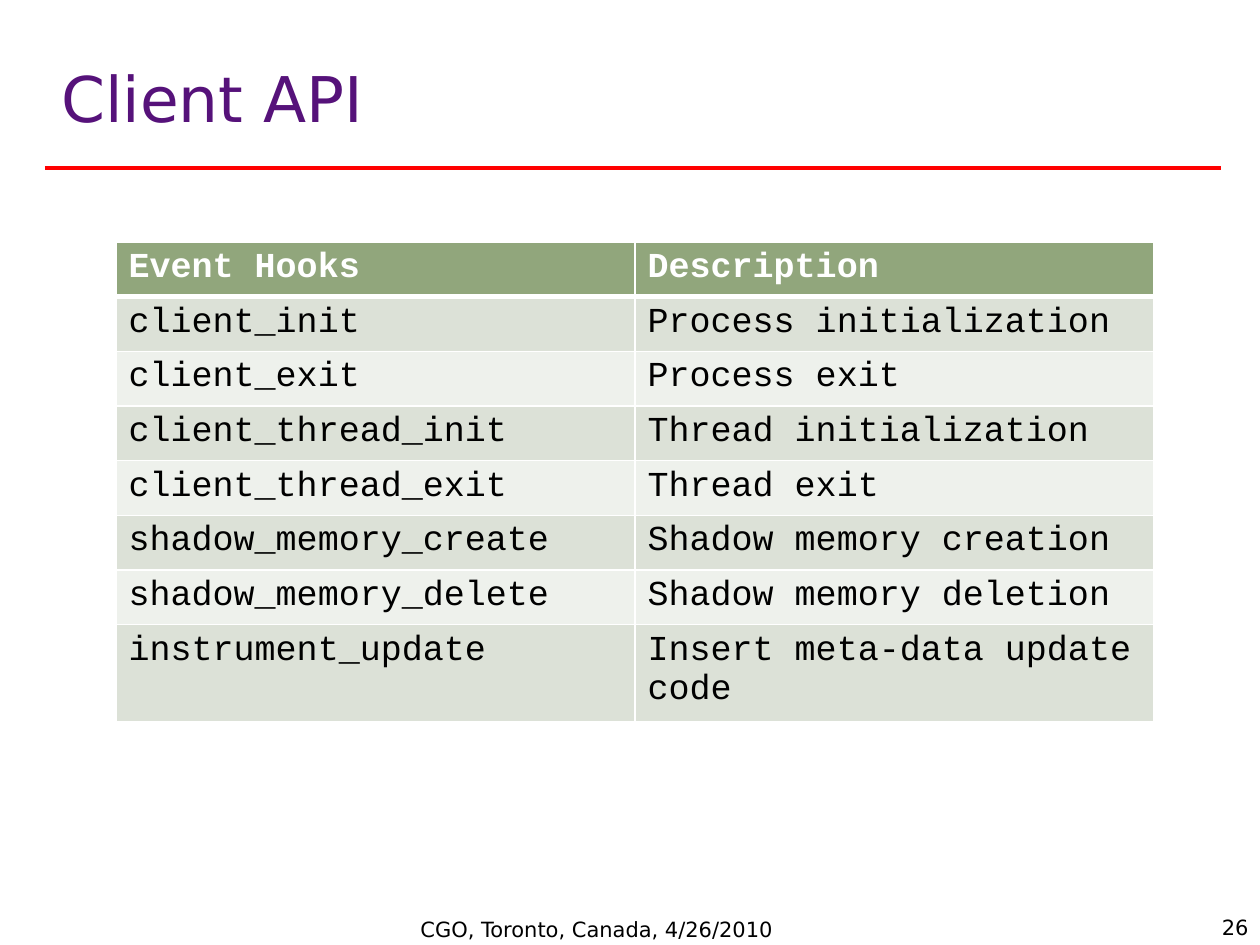
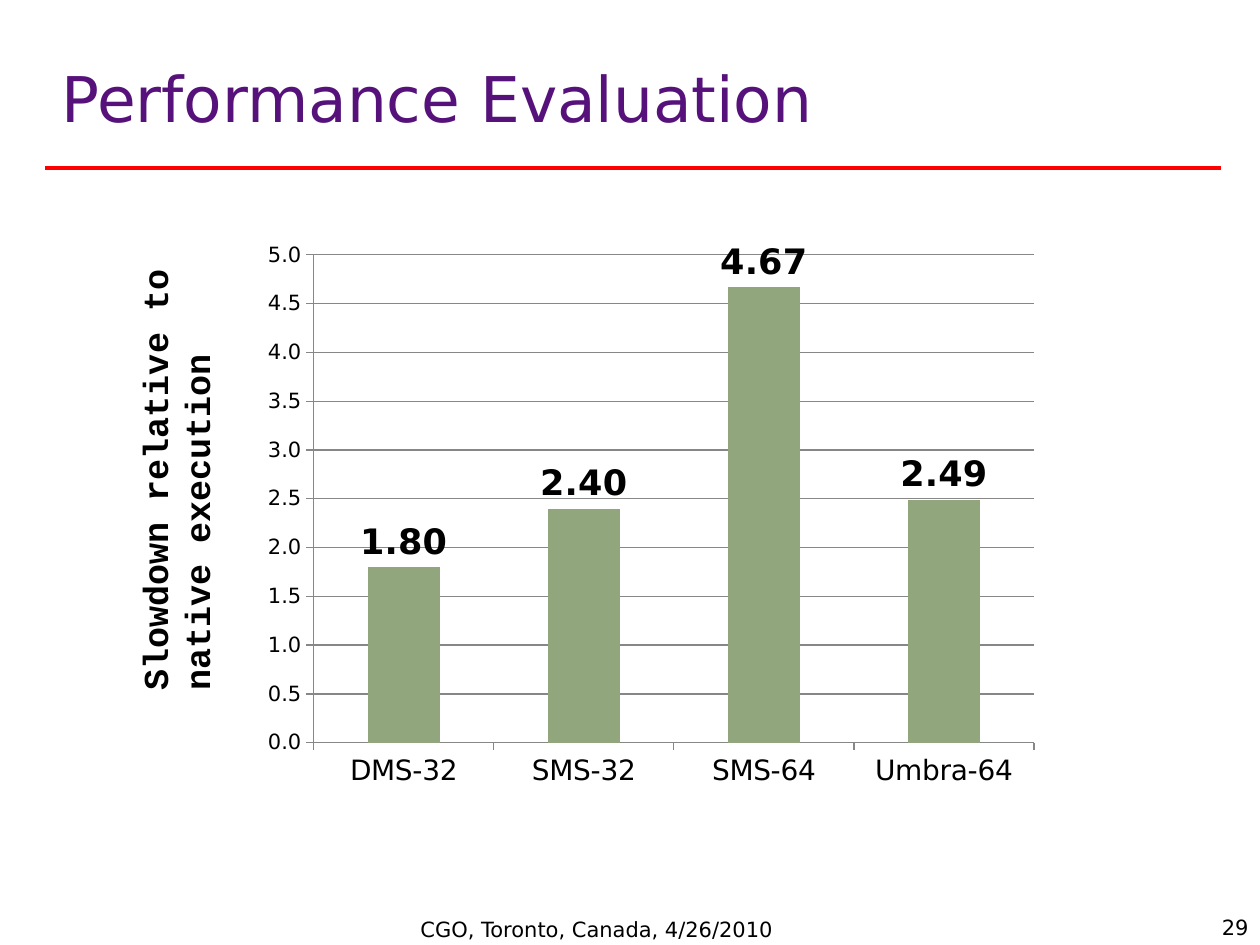
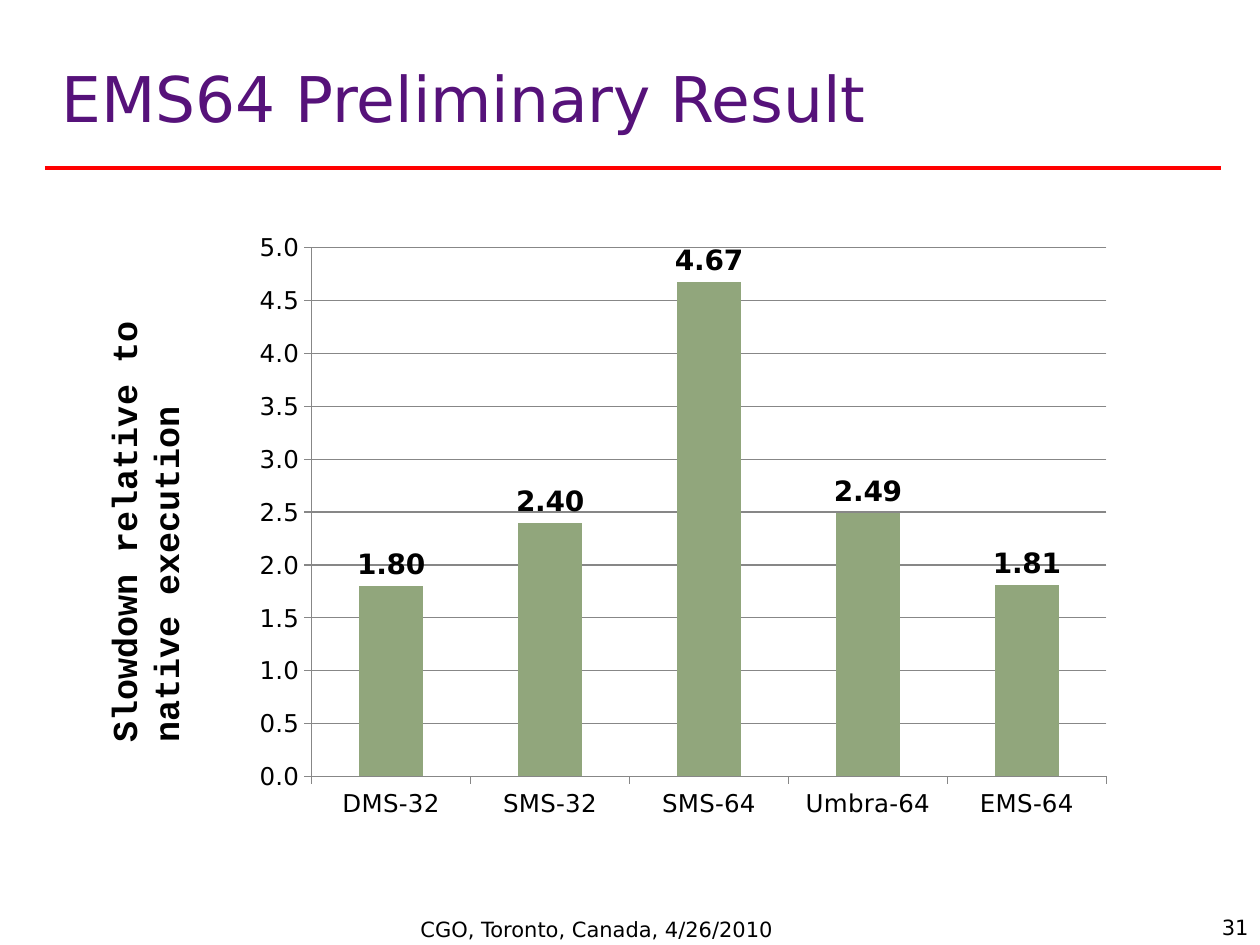
from lxml import etree
from pptx import Presentation
from pptx.chart.data import CategoryChartData
from pptx.dml.color import RGBColor
from pptx.enum.chart import XL_CHART_TYPE as ChartType
from pptx.enum.chart import XL_LABEL_POSITION as LabelPosition
from pptx.enum.chart import XL_TICK_MARK as TickMark
from pptx.enum.shapes import MSO_CONNECTOR as Connector
from pptx.enum.text import MSO_ANCHOR as Anchor
from pptx.enum.text import MSO_AUTO_SIZE as AutoSize
from pptx.enum.text import PP_ALIGN as Align
from pptx.oxml.ns import qn
from pptx.util import Emu, Pt

PX = 914400 / 126
SANS = "DejaVu Sans"
MONO = "Courier New"
HEX = {
    "title": "56127A",
    "rule": "FF0000",
    "text": "000000",
    "white": "FFFFFF",
    "green": "91A67C",
    "band_dark": "DCE1D7",
    "band_light": "EEF1EC",
    "grid": "878787",
}
COLOR = {name: RGBColor.from_string(value) for name, value in HEX.items()}
FOOTER = "CGO, Toronto, Canada, 4/26/2010"
AXIS_LABEL = "Slowdown relative to native execution"

PAGES = [("Client API", "26"), ("Performance Evaluation", "29"), ("EMS64 Preliminary Result", "31")]

HOOKS = [
    ("Event Hooks", "Description"),
    ("client_init", "Process initialization"),
    ("client_exit", "Process exit"),
    ("client_thread_init", "Thread initialization"),
    ("client_thread_exit", "Thread exit"),
    ("shadow_memory_create", "Shadow memory creation"),
    ("shadow_memory_delete", "Shadow memory deletion"),
    ("instrument_update", "Insert meta-data update code"),
]

SLOWDOWNS = [("DMS-32", 1.8), ("SMS-32", 2.4), ("SMS-64", 4.67), ("Umbra-64", 2.49), ("EMS-64", 1.81)]
CHARTS = [
    {"page": 1, "bars": 4, "chart_box": (252, 231, 798, 567), "label_box": (-121, 405, 546, 50),
     "category_size": 16, "value_size": 12, "label_size": 20},
    {"page": 2, "bars": 5, "chart_box": (242, 221, 882, 609), "label_box": (-152, 457, 546, 50),
     "category_size": 14, "value_size": 14, "label_size": 16},
]


def px(*lengths):
    """Turn pixel lengths into EMU."""
    return [Emu(round(length * PX)) for length in lengths]


def add_text(slide, box, text, size, font=SANS, color="text", bold=False):
    shape = slide.shapes.add_textbox(*px(*box))
    shape.text_frame.word_wrap = True
    paragraph = shape.text_frame.paragraphs[0]
    run = paragraph.add_run()
    run.text = text
    run.font.name = font
    run.font.size = Pt(size)
    run.font.bold = bold
    run.font.color.rgb = COLOR[color]
    return shape


presentation = Presentation()
presentation.slide_width, presentation.slide_height = px(1260, 945)
slides = []

# Title, rule and footer on every slide
for title, number in PAGES:
    slide = presentation.slides.add_slide(presentation.slide_layouts[6])
    slides.append(slide)
    rule = slide.shapes.add_connector(Connector.STRAIGHT, *px(45, 168, 1221, 168))
    rule.line.color.rgb = COLOR["rule"]
    rule.line.width = Pt(2.25)
    etree.SubElement(rule.element.spPr, qn("a:effectLst"))

    heading = add_text(slide, (49, 47, 1169, 115), title, 36, color="title")
    heading.text_frame.vertical_anchor = Anchor.MIDDLE
    heading.text_frame.paragraphs[0].line_spacing = 0.8
    add_text(slide, (408, 910, 396, 42), FOOTER, 12)
    page_number = add_text(slide, (1072, 908, 189, 37), number, 12)
    page_number.text_frame.paragraphs[0].alignment = Align.RIGHT

# Table of event hooks
row_height = 52
frame = slides[0].shapes.add_table(len(HOOKS), 2, *px(116, 242, 1038, row_height * len(HOOKS)))
table = frame.table
for column in table.columns:
    column.width = px(519)[0]
for row_index, hook in enumerate(HOOKS):
    is_header = row_index == 0
    fill = "green" if is_header else "band_dark" if row_index % 2 else "band_light"
    borders = {"lnL": 1, "lnR": 1, "lnT": 1, "lnB": 3} if is_header else {"lnL": 1, "lnR": 1, "lnB": 1}
    for column_index, text in enumerate(hook):
        cell = table.cell(row_index, column_index)
        run = cell.text_frame.paragraphs[0].add_run()
        run.text = text
        run.font.name = MONO
        run.font.size = Pt(20)
        run.font.bold = is_header
        run.font.color.rgb = COLOR["white" if is_header else "text"]
        properties = cell._tc.get_or_add_tcPr()
        for side, width in borders.items():
            border = etree.SubElement(properties, qn(f"a:{side}"), w=str(Pt(width)))
            border_fill = etree.SubElement(border, qn("a:solidFill"))
            etree.SubElement(border_fill, qn("a:srgbClr"), val=HEX["white"])
        cell.fill.solid()
        cell.fill.fore_color.rgb = COLOR[fill]

# Slowdown charts
for settings in CHARTS:
    slide = slides[settings["page"]]
    axis_label = add_text(slide, settings["label_box"], AXIS_LABEL, 20, MONO, bold=True)
    axis_label.text_frame.auto_size = AutoSize.SHAPE_TO_FIT_TEXT
    axis_label.rotation = 270

    names, values = zip(*SLOWDOWNS[:settings["bars"]])
    data = CategoryChartData()
    data.categories = names
    data.add_series("Series 1", values)
    chart = slide.shapes.add_chart(ChartType.COLUMN_CLUSTERED, *px(*settings["chart_box"]), data).chart
    chart.has_title = False
    chart.has_legend = False
    chart.font.name = SANS
    chart.font.size = Pt(10)
    chart.font.color.rgb = COLOR["text"]

    for axis, size in ((chart.category_axis, settings["category_size"]),
                       (chart.value_axis, settings["value_size"])):
        axis.major_tick_mark = TickMark.OUTSIDE
        axis.minor_tick_mark = TickMark.NONE
        axis.format.line.color.rgb = COLOR["grid"]
        axis.tick_labels.font.size = Pt(size)
        axis.tick_labels.font.bold = axis is chart.category_axis
    value_axis = chart.value_axis
    value_axis.minimum_scale = 0
    value_axis.maximum_scale = 5
    value_axis.major_unit = 0.5
    value_axis.has_major_gridlines = True
    value_axis.major_gridlines.format.line.color.rgb = COLOR["grid"]
    value_axis.tick_labels.number_format = "0.0"
    value_axis.tick_labels.number_format_is_linked = False

    plot = chart.plots[0]
    plot.vary_by_categories = False
    plot.gap_width = 150
    bars = plot.series[0]
    bars.format.fill.solid()
    bars.format.fill.fore_color.rgb = COLOR["green"]
    labels = bars.data_labels
    labels.show_value = True
    labels.position = LabelPosition.OUTSIDE_END
    labels.number_format = "0.00"
    labels.number_format_is_linked = False
    labels.font.size = Pt(settings["label_size"])
    labels.font.bold = True

presentation.save("out.pptx")
